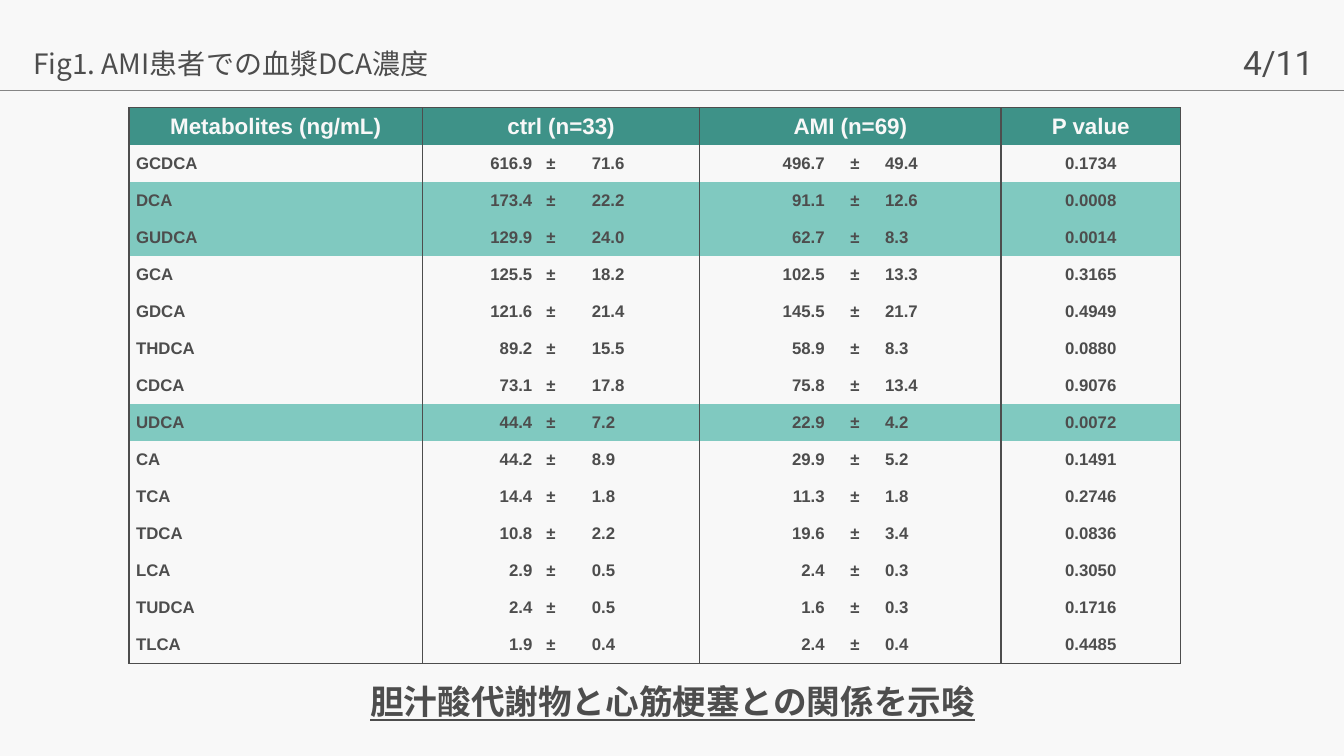
"""Build the slide of plasma bile acid levels in AMI patients and controls."""
from lxml import etree
from pptx import Presentation
from pptx import util as u
from pptx.dml.color import RGBColor
from pptx.enum import shapes, text
from pptx.oxml.ns import qn

INK, PAPER, HEADER, MARKED, RULE = "4D4D4D", "F8F8F8", "3E9288", "80C9C0", "858585"
JP = "Noto Sans CJK JP"
LEFT, CENTER, RIGHT, JUSTIFY = (text.PP_ALIGN.LEFT, text.PP_ALIGN.CENTER,
                                text.PP_ALIGN.RIGHT, text.PP_ALIGN.JUSTIFY)


def color(hex_value):
    return RGBColor.from_string(hex_value)


def write(frame, words, ink, font_format, paragraph_format):
    paragraph = frame.paragraphs[0]
    for key, value in paragraph_format.items():
        setattr(paragraph, key, value)
    run = paragraph.add_run()
    run.text = words
    for key, value in font_format.items():
        setattr(run.font, key, value)
    run.font.color.rgb = color(ink)
    east_asian = etree.SubElement(run.font._element, qn("a:ea"))
    east_asian.set("typeface", font_format["name"])


deck = Presentation()
deck.slide_width, deck.slide_height = u.Inches(13.33), u.Inches(7.5)
W, H = deck.slide_width, deck.slide_height
slide = deck.slides.add_slide(deck.slide_layouts[6])
slide.background.fill.solid()
slide.background.fill.fore_color.rgb = color(PAPER)

header_rule = slide.shapes.add_connector(
    shapes.MSO_CONNECTOR.STRAIGHT, 0, int(H * 0.12), W, int(H * 0.12))
header_rule.line.color.rgb = color(RULE)
header_rule.line.width = u.Pt(1)
etree.SubElement(header_rule._element.spPr, qn("a:effectLst"))

TOP, MIDDLE = text.MSO_ANCHOR.TOP, text.MSO_ANCHOR.MIDDLE
FIT, FIXED = text.MSO_AUTO_SIZE.SHAPE_TO_FIT_TEXT, text.MSO_AUTO_SIZE.NONE
captions = [
    ("4/11", (91.75, 4.93, 8.33, 6.67),
     {"word_wrap": False, "auto_size": FIT, "vertical_anchor": TOP},
     {"size": u.Pt(24), "name": "Roboto"}, {"alignment": LEFT}),
    ("胆汁酸代謝物と心筋梗塞との関係を示唆", (4.5, 87.87, 91.07, 10.53),
     {"word_wrap": True, "auto_size": FIXED, "vertical_anchor": MIDDLE},
     {"size": u.Pt(24), "name": JP, "bold": True, "underline": True},
     {"alignment": CENTER, "line_spacing": 0.9}),
    ("Fig1. AMI患者での血漿DCA濃度", (1.73, 5.07, 94, 6.8),
     {"word_wrap": True, "auto_size": FIXED, "vertical_anchor": TOP},
     {"size": u.Pt(20), "name": JP},
     {"alignment": LEFT, "line_spacing": 1.1, "space_before": u.Pt(18)}),
]
for words, shares, frame_format, font_format, paragraph_format in captions:
    box = [int(side * share / 100) for side, share in zip((W, H, W, H), shares)]
    frame = slide.shapes.add_textbox(*box).text_frame
    for key, value in frame_format.items():
        setattr(frame, key, value)
    write(frame, words, INK, font_format, paragraph_format)

headings = ["Metabolites (ng/mL)", "ctrl (n=33)", "", "", "AMI (n=69)", "", "", "P value"]
measurements = [
    ("GCDCA", "616.9", "71.6", "496.7", "49.4", "0.1734"),
    ("DCA", "173.4", "22.2", "91.1", "12.6", "0.0008"),
    ("GUDCA", "129.9", "24.0", "62.7", "8.3", "0.0014"),
    ("GCA", "125.5", "18.2", "102.5", "13.3", "0.3165"),
    ("GDCA", "121.6", "21.4", "145.5", "21.7", "0.4949"),
    ("THDCA", "89.2", "15.5", "58.9", "8.3", "0.0880"),
    ("CDCA", "73.1", "17.8", "75.8", "13.4", "0.9076"),
    ("UDCA", "44.4", "7.2", "22.9", "4.2", "0.0072"),
    ("CA", "44.2", "8.9", "29.9", "5.2", "0.1491"),
    ("TCA", "14.4", "1.8", "11.3", "1.8", "0.2746"),
    ("TDCA", "10.8", "2.2", "19.6", "3.4", "0.0836"),
    ("LCA", "2.9", "0.5", "2.4", "0.3", "0.3050"),
    ("TUDCA", "2.4", "0.5", "1.6", "0.3", "0.1716"),
    ("TLCA", "1.9", "0.4", "2.4", "0.4", "0.4485"),
]
rows = [headings] + [
    [acid, ctrl, "±", ctrl_error, ami, "±", ami_error, p_value]
    for acid, ctrl, ctrl_error, ami, ami_error, p_value in measurements]
column_widths = [2.91, 1.16, 0.45, 1.14, 1.31, 0.46, 1.22, 1.78]
alignments = [JUSTIFY, RIGHT, JUSTIFY, JUSTIFY, RIGHT, CENTER, LEFT, CENTER]
group_starts, group_ends = (0, 1, 4, 7), (0, 3, 6, 7)

levels = slide.shapes.add_table(
    len(rows), len(column_widths), u.Inches(1.28), u.Inches(1.07),
    u.Inches(sum(column_widths)), u.Inches(5.51)).table
levels.first_row = levels.horz_banding = False
for column, width in zip(levels.columns, column_widths):
    column.width = u.Inches(width)
for row in levels.rows:
    row.height = int(u.Inches(5.51) / len(rows))
for start, end in zip(group_starts[1:3], group_ends[1:3]):
    levels.cell(0, start).merge(levels.cell(0, end))

cell_format = {"margin_left": u.Inches(0.07), "margin_right": u.Inches(0.07),
               "margin_top": 0, "margin_bottom": 0, "vertical_anchor": MIDDLE}
for r, values in enumerate(rows):
    is_header = r == 0
    significant = not is_header and float(values[-1]) < 0.05
    for c, words in enumerate(values):
        cell = levels.cell(r, c)
        for key, value in cell_format.items():
            setattr(cell, key, value)
        borders = {"lnL": is_header or c in group_starts,
                   "lnR": is_header or c in group_ends,
                   "lnT": is_header, "lnB": r == len(rows) - 1}
        for edge, drawn in borders.items():
            line = etree.SubElement(cell._tc.get_or_add_tcPr(), qn("a:" + edge), w="12700")
            if drawn:
                paint = etree.SubElement(line, qn("a:solidFill"))
                etree.SubElement(paint, qn("a:srgbClr"), val=INK)
            else:
                etree.SubElement(line, qn("a:noFill"))
        cell.fill.solid()
        cell.fill.fore_color.rgb = color(
            HEADER if is_header else MARKED if significant else PAPER)
        if words:
            write(cell.text_frame, words, PAPER if is_header else INK,
                  {"size": u.Pt(16 if is_header else 12), "name": "Arial", "bold": True},
                  {"alignment": CENTER if is_header else alignments[c]})

deck.save("out.pptx")
